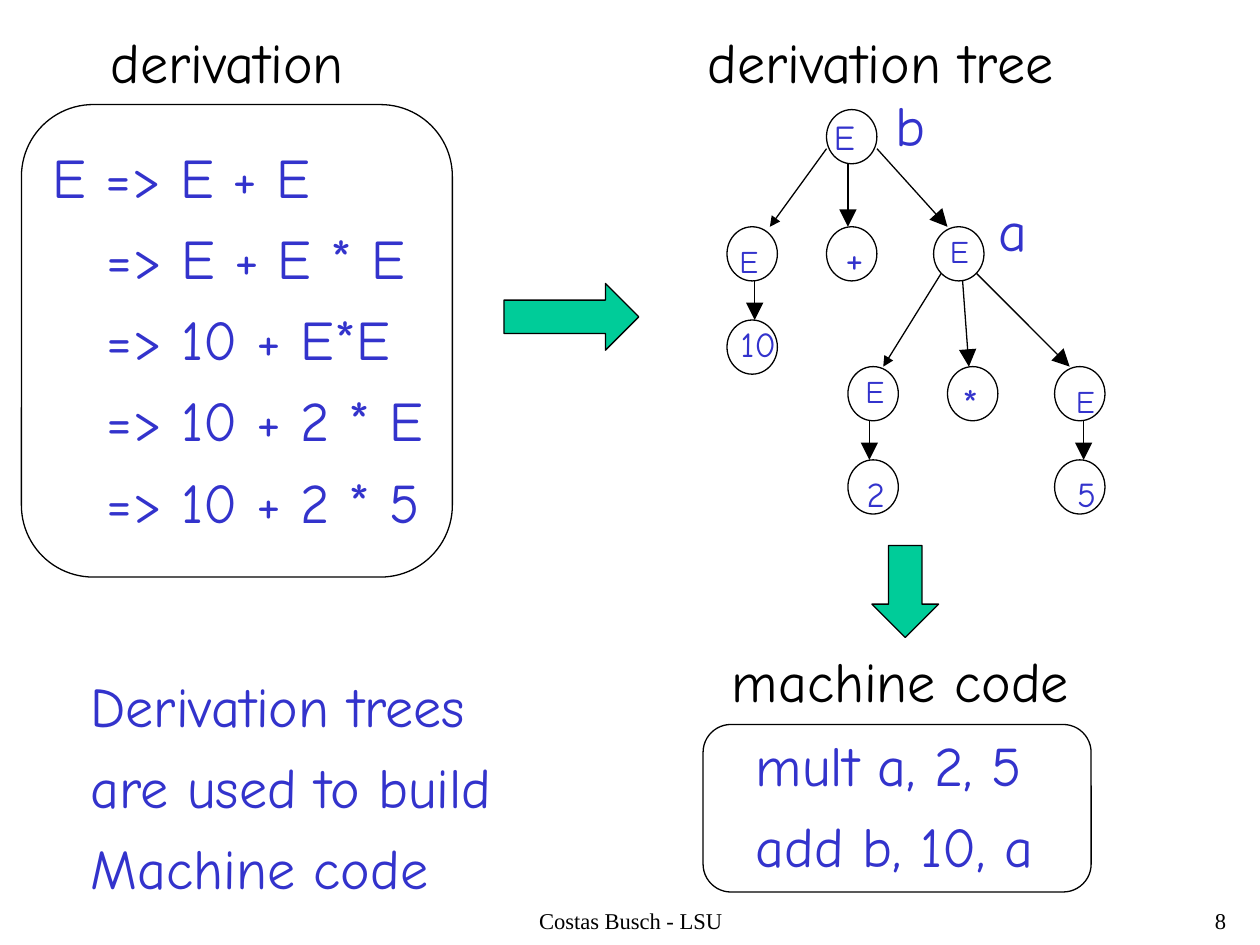
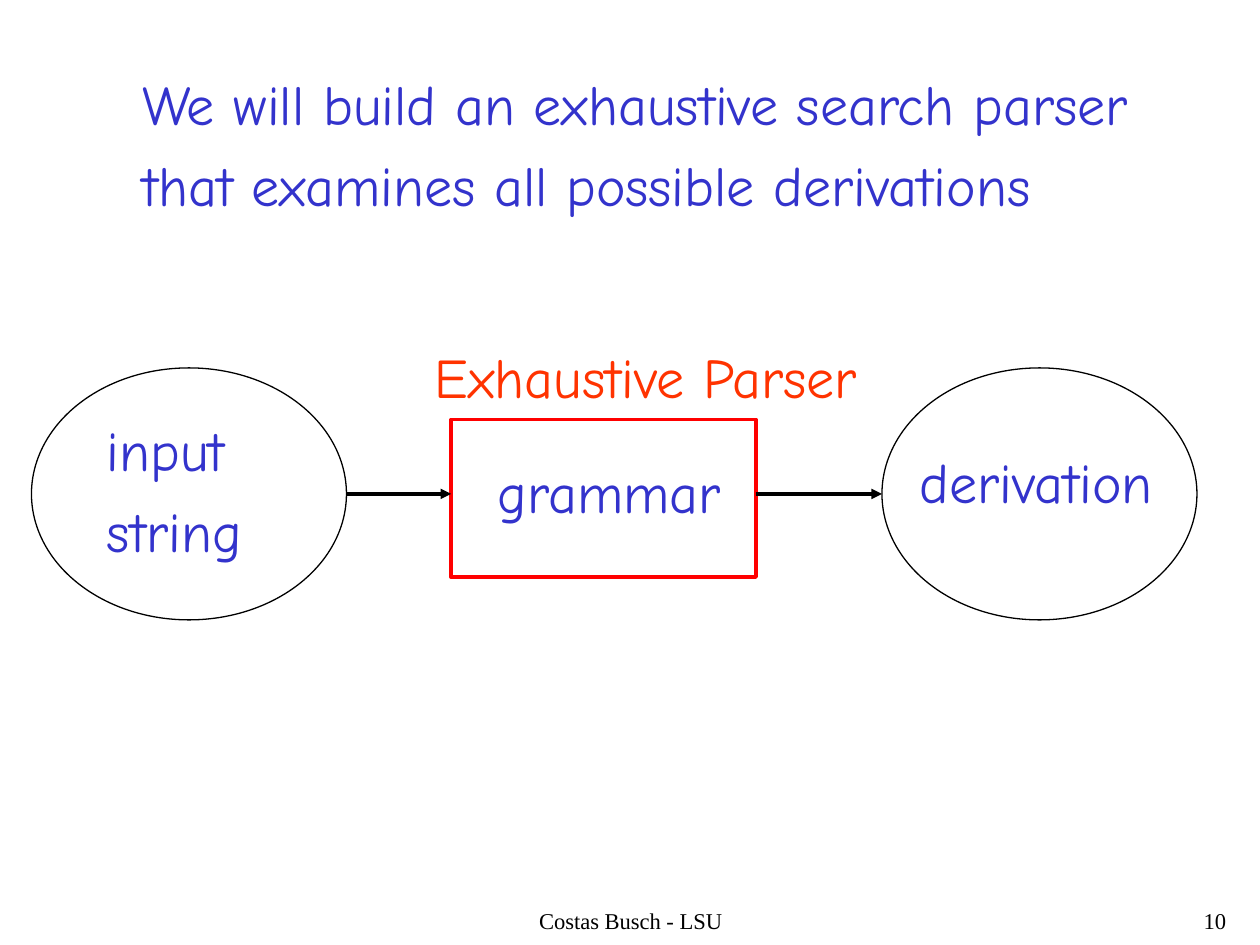
"""Builds two slides on derivation trees and exhaustive parsing."""
from lxml import etree
from pptx import Presentation
from pptx.dml.color import RGBColor
from pptx.enum.shapes import MSO_CONNECTOR, MSO_SHAPE
from pptx.enum.text import MSO_AUTO_SIZE, PP_ALIGN
from pptx.oxml.ns import qn
from pptx.util import Inches, Pt

STRAIGHT = MSO_CONNECTOR.STRAIGHT
OVAL, RECTANGLE, ROUNDED = MSO_SHAPE.OVAL, MSO_SHAPE.RECTANGLE, MSO_SHAPE.ROUNDED_RECTANGLE
RIGHT_ARROW, DOWN_ARROW = MSO_SHAPE.RIGHT_ARROW, MSO_SHAPE.DOWN_ARROW
CENTER, RIGHT = PP_ALIGN.CENTER, PP_ALIGN.RIGHT
FIT_SHAPE, NO_FIT = MSO_AUTO_SIZE.SHAPE_TO_FIT_TEXT, MSO_AUTO_SIZE.NONE

COLORS = {"ink": "000000", "blue": "3333CC", "green": "00CC99",
          "red": "FF0000", "orange": "FF3300"}
BODY_FONT, FOOTER_FONT = "Comic Neue", "Times New Roman"
FOOTER = "Costas Busch - LSU"
STEP_INDENT = 0.43

DERIVATION = ["E => E + E", "=> E + E * E", "=> 10 + E*E",
              "=> 10 + 2 * E", "=> 10 + 2 * 5"]

TREE_TEXTS = [
    (0.78, 0.17, 2.06, ["derivation"], "ink"),
    (5.52, 0.17, 2.96, ["derivation tree"], "ink"),
    (5.71, 5.08, 2.88, ["machine code"], "ink"),
    (5.9, 5.75, 2.55, ["mult a, 2, 5", "add b, 10, a"], "blue"),
    (0.62, 5.28, 3.41, ["Derivation trees", "are used to build", "Machine code"], "blue"),
    (7.83, 1.5, 0.43, ["a"], "blue"),
    (7.01, 0.67, 0.44, ["b"], "blue"),
]

NODE_WIDTH, NODE_HEIGHT = 0.4, 0.43
LEVELS = [0.87, 1.8, 2.54, 2.91, 3.65]
# each node: left, level, label, label size, label left, label top, label width
NODES = [
    (6.56, 0, "E", 20, 6.52, 0.87, 0.37),
    (5.77, 1, "E", 18, 5.77, 1.87, 0.35),
    (6.56, 1, "+", 24, 6.61, 1.79, 0.35),
    (7.41, 1, "E", 18, 7.44, 1.79, 0.35),
    (5.77, 2, "10", 20, 5.78, 2.51, 0.48),
    (6.73, 3, "E", 18, 6.77, 2.9, 0.35),
    (7.52, 3, "*", 24, 7.54, 2.95, 0.33),
    (8.37, 3, "E", 18, 8.44, 2.98, 0.35),
    (6.73, 4, "2", 20, 6.78, 3.7, 0.34),
    (8.37, 4, "5", 20, 8.45, 3.7, 0.35),
]
BRANCHES = [
    (6.56, 1.18, 6.11, 1.8, "med"),
    (6.73, 1.3, 6.73, 1.8, "lg"),
    (6.96, 1.18, 7.52, 1.8, "lg"),
    (5.99, 2.23, 5.99, 2.54, "lg"),
    (7.47, 2.17, 7.01, 2.91, "med"),
    (7.64, 2.23, 7.69, 2.91, "lg"),
    (7.75, 2.17, 8.49, 2.91, "lg"),
    (6.9, 3.34, 6.9, 3.65, "lg"),
    (8.6, 3.34, 8.6, 3.65, "lg"),
]
FRAMES = [(0.17, 0.83, 3.42, 3.75), (5.58, 5.75, 3.08, 1.33)]
BLOCK_ARROWS = [
    (RIGHT_ARROW, (4, 2.25, 1.07, 0.53)),
    (DOWN_ARROW, (6.92, 4.33, 0.53, 0.73)),
]

PARSER_TEXTS = [
    (1.03, 0.5, 8.08, ["We will build an exhaustive search parser",
                       "that examines all possible derivations"], "blue"),
    (3.35, 2.67, 3.58, ["Exhaustive Parser"], "orange"),
    (0.75, 3.25, 1.27, ["input", "string"], "blue"),
    (3.85, 3.58, 1.98, ["grammar"], "blue"),
    (7.2, 3.5, 2.06, ["derivation"], "blue"),
]
PARSER_FRAME = (3.58, 3.33, 2.42, 1.25)
OVAL_TOP, OVAL_WIDTH, OVAL_HEIGHT = 2.92, 2.5, 2
INPUT_LEFT, OUTPUT_LEFT = 0.25, 7


def color(name):
    return RGBColor.from_string(COLORS[name])


def add_span(para, text, size, tint, font=BODY_FONT):
    span = para.add_run()
    span.text = text
    span.font.size = Pt(size)
    span.font.name = font
    span.font.color.rgb = color(tint)


def add_text(page, left, top, width, lines, tint="blue", size=32):
    gap = size / 4
    height = 0.1 + (len(lines) * size * 1.2 + (len(lines) - 1) * gap) / 72
    box = page.shapes.add_textbox(*map(Inches, (left, top, width, height)))
    frame = box.text_frame
    frame.word_wrap = False
    frame.auto_size = FIT_SHAPE
    for index, line in enumerate(lines):
        para = frame.add_paragraph() if index else frame.paragraphs[0]
        para.space_before = Pt(gap)
        add_span(para, line, size, tint)
    return box


def add_footer_text(page, left, width, text, align):
    box = page.shapes.add_textbox(*map(Inches, (left, 7.17, width, 0.33)))
    box.text_frame.word_wrap = True
    box.text_frame.auto_size = NO_FIT
    para = box.text_frame.paragraphs[0]
    para.alignment = align
    para.line_spacing = 0.9
    add_span(para, text, 12.9, "ink", FOOTER_FONT)


def add_page(deck, number):
    page = deck.slides.add_slide(deck.slide_layouts[6])
    add_footer_text(page, 3.42, 3.17, FOOTER, CENTER)
    add_footer_text(page, 7.75, 2.08, str(number), RIGHT)
    return page


def add_outline(page, kind, bounds, line="ink", weight=0.75, fill=None):
    shape = page.shapes.add_shape(kind, *map(Inches, bounds))
    shape.shadow.inherit = False
    if fill:
        shape.fill.solid()
        shape.fill.fore_color.rgb = color(fill)
    else:
        shape.fill.background()
    shape.line.color.rgb = color(line)
    shape.line.width = Pt(weight)
    return shape


def add_arrow(page, ends, weight=0.75, head="med"):
    arrow = page.shapes.add_connector(STRAIGHT, *map(Inches, ends))
    arrow.line.color.rgb = color("ink")
    arrow.line.width = Pt(weight)
    properties = arrow.element.spPr
    etree.SubElement(properties.find(qn("a:ln")), qn("a:tailEnd"),
                     type="triangle", w=head, len=head)
    etree.SubElement(properties, qn("a:effectLst"))


def build_tree_page(deck):
    page = add_page(deck, 8)
    steps = add_text(page, 0.32, 1.08, 3.15, DERIVATION)
    for para in steps.text_frame.paragraphs[1:]:
        para._p.get_or_add_pPr().set("marL", str(Inches(STEP_INDENT)))
    for left, level, label, size, label_left, label_top, label_width in NODES:
        add_outline(page, OVAL, (left, LEVELS[level], NODE_WIDTH, NODE_HEIGHT))
        add_text(page, label_left, label_top, label_width, [label], size=size)
    for *ends, head in BRANCHES:
        add_arrow(page, ends, head=head)
    for bounds in FRAMES:
        add_outline(page, ROUNDED, bounds)
    for kind, bounds in BLOCK_ARROWS:
        add_outline(page, kind, bounds, fill="green")
    for text in TREE_TEXTS:
        add_text(page, *text)


def build_parser_page(deck):
    page = add_page(deck, 10)
    add_outline(page, RECTANGLE, PARSER_FRAME, "red", 2)
    for left in (INPUT_LEFT, OUTPUT_LEFT):
        add_outline(page, OVAL, (left, OVAL_TOP, OVAL_WIDTH, OVAL_HEIGHT))
    middle = OVAL_TOP + OVAL_HEIGHT / 2
    parser_left, parser_right = PARSER_FRAME[0], PARSER_FRAME[0] + PARSER_FRAME[2]
    for start, end in ((INPUT_LEFT + OVAL_WIDTH, parser_left), (parser_right, OUTPUT_LEFT)):
        add_arrow(page, (start, middle, end, middle), weight=2)
    for text in PARSER_TEXTS:
        add_text(page, *text)


def main():
    deck = Presentation()
    deck.slide_width, deck.slide_height = Inches(10), Inches(7.5)
    build_tree_page(deck)
    build_parser_page(deck)
    deck.save("out.pptx")


if __name__ == "__main__":
    main()
